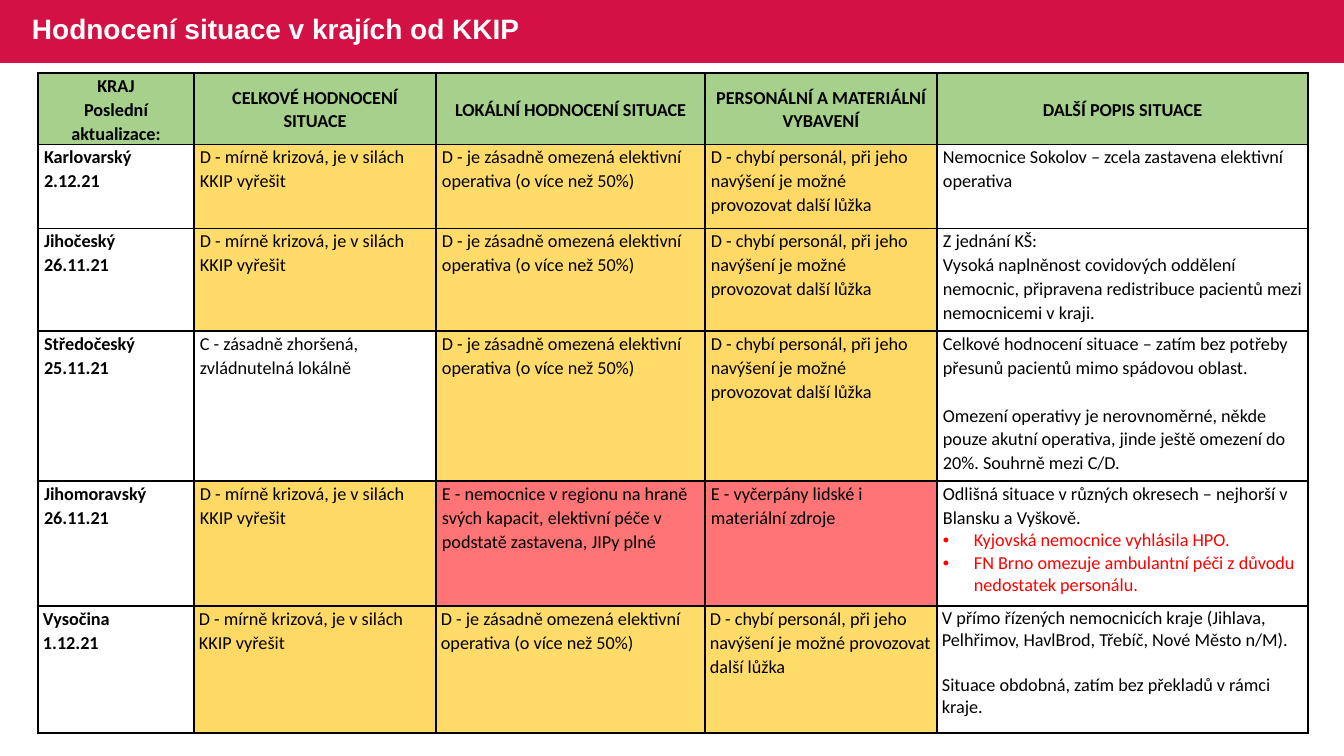
from itertools import accumulate

from lxml import etree
from pptx import Presentation
from pptx.dml.color import RGBColor
from pptx.enum.shapes import MSO_SHAPE
from pptx.enum.text import MSO_ANCHOR, PP_ALIGN
from pptx.oxml.ns import qn
from pptx.util import Pt

RECTANGLE = MSO_SHAPE.RECTANGLE
TOP, MIDDLE = MSO_ANCHOR.TOP, MSO_ANCHOR.MIDDLE
LEFT, CENTER = PP_ALIGN.LEFT, PP_ALIGN.CENTER

COLORS = {
    "banner": "D31145", "white": "FFFFFF", "black": "000000", "alert": "FF0000",
    "header": "A8D08D", "amber": "FFDB69", "gold": "FFD966", "red": "FF7575",
}

TITLE = "Hodnocení situace v krajích od KKIP"
HEADERS = [
    ["KRAJ", "Poslední aktualizace:"],
    ["CELKOVÉ HODNOCENÍ SITUACE"],
    ["LOKÁLNÍ HODNOCENÍ SITUACE"],
    ["PERSONÁLNÍ A MATERIÁLNÍ VYBAVENÍ"],
    ["DALŠÍ POPIS SITUACE"],
]
OVERALL_C = "C - zásadně zhoršená, zvládnutelná lokálně"
OVERALL_D = "D - mírně krizová, je v silách KKIP vyřešit"
LOCAL_D = "D - je zásadně omezená elektivní operativa (o více než 50%)"
LOCAL_E = ("E - nemocnice v regionu na hraně svých kapacit, elektivní péče "
           "v podstatě zastavena, JIPy plné")
STAFF_D = "D - chybí personál, při jeho navýšení je možné provozovat další lůžka"
STAFF_E = "E - vyčerpány lidské i materiální zdroje"

# Region, date, three (rating, fill) pairs, description paragraphs with their format
REGIONS = [
    ("Karlovarský", "2.12.21",
     [(OVERALL_D, "amber"), (LOCAL_D, "amber"), (STAFF_D, "gold")],
     [("Nemocnice Sokolov – zcela zastavena elektivní operativa", {})]),
    ("Jihočeský", "26.11.21",
     [(OVERALL_D, "amber"), (LOCAL_D, "amber"), (STAFF_D, "gold")],
     [("Z jednání KŠ:", {}),
      ("Vysoká naplněnost covidových oddělení nemocnic, připravena "
       "redistribuce pacientů mezi nemocnicemi v kraji.", {})]),
    ("Středočeský", "25.11.21",
     [(OVERALL_C, None), (LOCAL_D, "amber"), (STAFF_D, "gold")],
     [("Celkové hodnocení situace – zatím bez potřeby přesunů pacientů "
       "mimo spádovou oblast.", {}),
      ("Omezení operativy je nerovnoměrné, někde pouze akutní operativa, "
       "jinde ještě omezení do 20%. Souhrně mezi C/D.", {"before": 17})]),
    ("Jihomoravský", "26.11.21",
     [(OVERALL_D, "gold"), (LOCAL_E, "red"), (STAFF_E, "red")],
     [("Odlišná situace v různých okresech – nejhorší v Blansku a Vyškově.", {}),
      ("Kyjovská nemocnice vyhlásila HPO.",
       {"bullet": True, "color": "alert", "spacing": 1.0}),
      ("FN Brno omezuje ambulantní péči z důvodu nedostatek personálu.",
       {"bullet": True, "color": "alert", "spacing": 1.0})]),
    ("Vysočina", "1.12.21",
     [(OVERALL_D, "gold"), (LOCAL_D, "amber"), (STAFF_D, "amber")],
     [("V přímo řízených nemocnicích kraje (Jihlava, Pelhřimov, HavlBrod, "
       "Třebíč, Nové Město n/M).", {"spacing": 1.0}),
      ("Situace obdobná, zatím bez překladů v rámci kraje.",
       {"spacing": 1.0, "before": 16})]),
]

SLIDE_W, SLIDE_H = 1344, 756
BANNER_H = 63
TABLE_LEFT, TABLE_TOP = 38, 73
COLUMN_WIDTHS = [156, 242, 269, 232, 371]
ROW_HEIGHTS = [67, 84, 103, 150, 125, 127]
BULLET_INDENT = 31


def px(length):
    """Turn slide pixels into EMU."""
    return round(length * 914400 / 100.8)


def rgb(name):
    """Look up a colour by name."""
    return RGBColor.from_string(COLORS[name])


def add_bullet(paragraph):
    """Give a paragraph a hanging bullet."""
    props = paragraph._p.get_or_add_pPr()
    props.set("marL", str(px(BULLET_INDENT)))
    props.set("indent", str(-px(BULLET_INDENT)))
    etree.SubElement(props, qn("a:buFont"), typeface="Arial")
    etree.SubElement(props, qn("a:buChar"), char="•")


def write(paragraph, text, size=13, font="Calibri", color="black", bold=False,
          align=LEFT, spacing=1.07, before=0, bullet=False):
    """Put formatted text into a paragraph."""
    run = paragraph.add_run()
    run.text = text
    run.font.size, run.font.name, run.font.bold = Pt(size), font, bold
    run.font.color.rgb = rgb(color)
    paragraph.alignment, paragraph.line_spacing = align, spacing
    paragraph.space_before = Pt(before)
    if bullet:
        add_bullet(paragraph)


def add_borders(cell):
    """Draw a thin black line on every side of a cell."""
    props = cell._tc.get_or_add_tcPr()
    for position, side in enumerate(("lnL", "lnR", "lnT", "lnB")):
        line = etree.Element(qn(f"a:{side}"), w=str(Pt(1)))
        fill = etree.SubElement(line, qn("a:solidFill"))
        etree.SubElement(fill, qn("a:srgbClr"), val=COLORS["black"])
        props.insert(position, line)


def fill_cell(cell, paragraphs, fill=None, anchor=TOP, side_margin=6, **style):
    """Write (text, format) paragraphs into a cell and paint it."""
    cell.margin_left = cell.margin_right = px(side_margin)
    cell.margin_top, cell.margin_bottom = px(1), 0
    cell.vertical_anchor = anchor
    if fill:
        cell.fill.solid()
        cell.fill.fore_color.rgb = rgb(fill)
    else:
        cell.fill.background()
    add_borders(cell)
    frame = cell.text_frame
    for index, (text, extra) in enumerate(paragraphs):
        paragraph = frame.add_paragraph() if index else frame.paragraphs[0]
        write(paragraph, text, **style, **extra)


def add_banner(slide):
    """Add the coloured band and the slide title."""
    band = slide.shapes.add_shape(RECTANGLE, 0, 0, px(SLIDE_W), px(BANNER_H))
    band.shadow.inherit = False
    band.fill.solid()
    band.fill.fore_color.rgb = rgb("banner")
    band.line.fill.background()
    title = slide.shapes.add_textbox(px(22), px(-1), px(820), px(BANNER_H)).text_frame
    title.word_wrap = True
    title.vertical_anchor = MIDDLE
    write(title.paragraphs[0], TITLE, size=20, font="Arial", color="white",
          bold=True, spacing=0.9)


def add_region_table(slide):
    """Add the table of regions and their ratings."""
    width, height = list(accumulate(COLUMN_WIDTHS))[-1], sum(ROW_HEIGHTS)
    table = slide.shapes.add_table(len(ROW_HEIGHTS), len(COLUMN_WIDTHS), px(TABLE_LEFT),
                                   px(TABLE_TOP), px(width), px(height)).table
    table.first_row = table.horz_banding = False
    for column, column_width in zip(table.columns, COLUMN_WIDTHS):
        column.width = px(column_width)
    for row, row_height in zip(table.rows, ROW_HEIGHTS):
        row.height = px(row_height)

    for column, lines in enumerate(HEADERS):
        fill_cell(table.cell(0, column), [(line, {}) for line in lines],
                  fill="header", anchor=MIDDLE, bold=True, align=CENTER)
    for row, (region, date, ratings, description) in enumerate(REGIONS, 1):
        margin = 5 if row == len(REGIONS) else 6
        fill_cell(table.cell(row, 0), [(region, {}), (date, {})],
                  side_margin=margin, bold=True)
        for column, (rating, fill) in enumerate(ratings, 1):
            fill_cell(table.cell(row, column), [(rating, {})], fill, side_margin=margin)
        fill_cell(table.cell(row, len(HEADERS) - 1), description, side_margin=margin)


presentation = Presentation()
presentation.slide_width, presentation.slide_height = px(SLIDE_W), px(SLIDE_H)
slide = presentation.slides.add_slide(presentation.slide_layouts[6])
add_banner(slide)
add_region_table(slide)
presentation.save("out.pptx")
